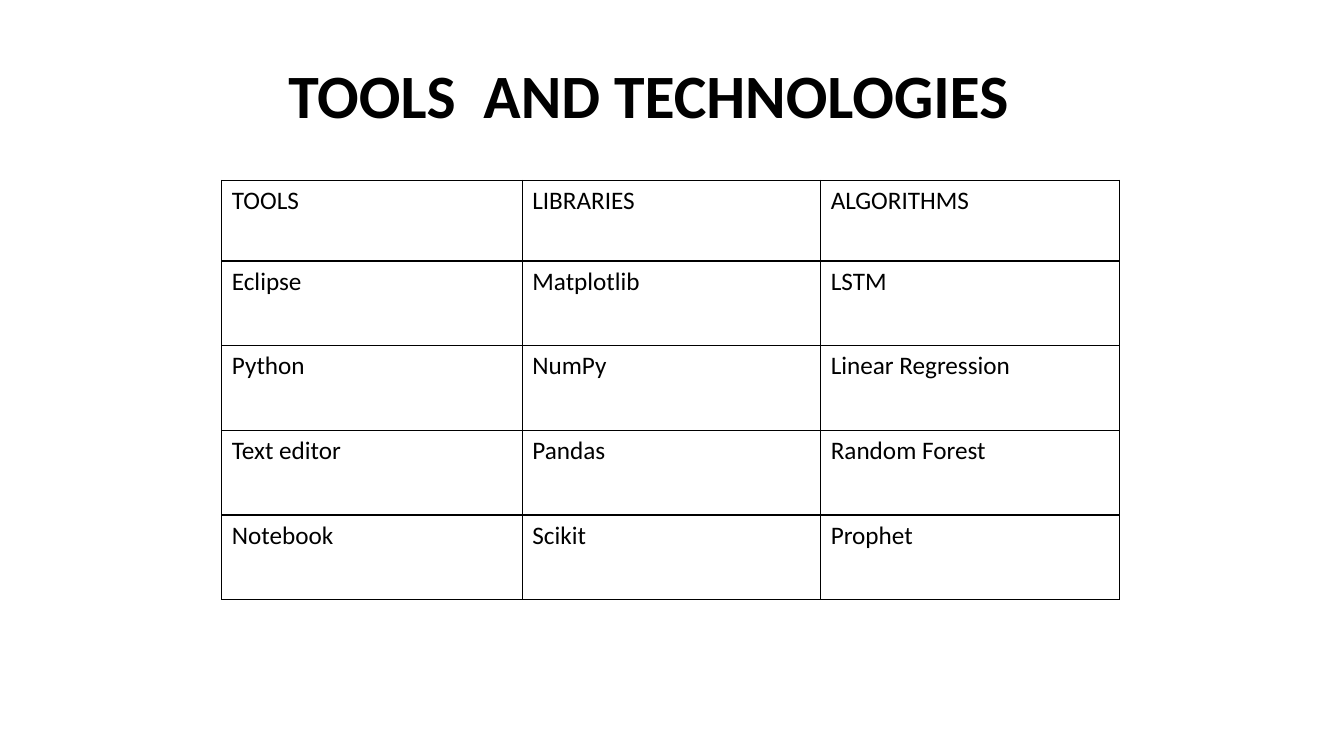
from dataclasses import dataclass

from lxml.etree import SubElement
from pptx import Presentation
from pptx.dml.color import RGBColor
from pptx.enum.text import MSO_ANCHOR, MSO_AUTO_SIZE, PP_ALIGN
from pptx.oxml.ns import qn
from pptx.util import Emu, Pt

PX = 9144  # EMU per px, 100 px to the inch
BLACK = RGBColor(0x00, 0x00, 0x00)
FONT = "Calibri"
BORDER_WIDTH = Pt(1)
HEADER_HEIGHT, ROW_HEIGHT = 80, 84
TABLE_LEFT, TABLE_TOP = 220, 179


@dataclass(frozen=True)
class Column:
    heading: str
    width: int
    entries: tuple[str, ...]


COLUMNS = (
    Column("TOOLS", 298, ("Eclipse", "Python", "Text editor", "Notebook")),
    Column("LIBRARIES", 296, ("Matplotlib", "NumPy", "Pandas", "Scikit")),
    Column("ALGORITHMS", 296, ("LSTM", "Linear Regression", "Random Forest", "Prophet")),
)


def px(length: int) -> Emu:
    return Emu(length * PX)


def style_paragraph(p, size: int, align: PP_ALIGN, bold: bool = False) -> None:
    p.alignment = align
    p.font.name = FONT
    p.font.size = Pt(size)
    p.font.bold = bold
    p.font.color.rgb = BLACK


def add_borders(cell) -> None:
    tc_pr = cell._tc.get_or_add_tcPr()
    for side in ("lnL", "lnR", "lnT", "lnB"):
        line = SubElement(tc_pr, qn(f"a:{side}"), w=str(BORDER_WIDTH))
        fill = SubElement(line, qn("a:solidFill"))
        SubElement(fill, qn("a:srgbClr"), val=str(BLACK))


def write_cell(cell, text: str) -> None:
    cell.text = text
    style_paragraph(cell.text_frame.paragraphs[0], 18, PP_ALIGN.JUSTIFY)
    add_borders(cell)
    cell.fill.background()


def set_title(title, text: str) -> None:
    title.left, title.top = px(222), px(-32)
    title.width, title.height = px(843), px(168)
    tf = title.text_frame
    tf.text = text
    tf.word_wrap = True
    tf.auto_size = MSO_AUTO_SIZE.NONE
    tf.vertical_anchor = MSO_ANCHOR.BOTTOM
    p = tf.paragraphs[0]
    p.line_spacing = 0.9
    style_paragraph(p, 44, PP_ALIGN.CENTER, bold=True)


def add_tools_table(s, columns: tuple[Column, ...]) -> None:
    entry_count = len(columns[0].entries)
    width = sum(column.width for column in columns)
    height = HEADER_HEIGHT + entry_count * ROW_HEIGHT
    table = s.shapes.add_table(
        entry_count + 1, len(columns),
        px(TABLE_LEFT), px(TABLE_TOP), px(width), px(height),
    ).table
    table.first_row = False
    table.horz_banding = False
    for i, row in enumerate(table.rows):
        row.height = px(ROW_HEIGHT if i else HEADER_HEIGHT)
    for j, column in enumerate(columns):
        table.columns[j].width = px(column.width)
        for i, text in enumerate((column.heading, *column.entries)):
            write_cell(table.cell(i, j), text)


def main() -> None:
    prs = Presentation()
    prs.slide_width, prs.slide_height = px(1333), px(750)
    s = prs.slides.add_slide(prs.slide_layouts.get_by_name("Title Only"))
    set_title(s.shapes.title, "TOOLS  AND TECHNOLOGIES")
    add_tools_table(s, COLUMNS)
    prs.save("out.pptx")


if __name__ == "__main__":
    main()
